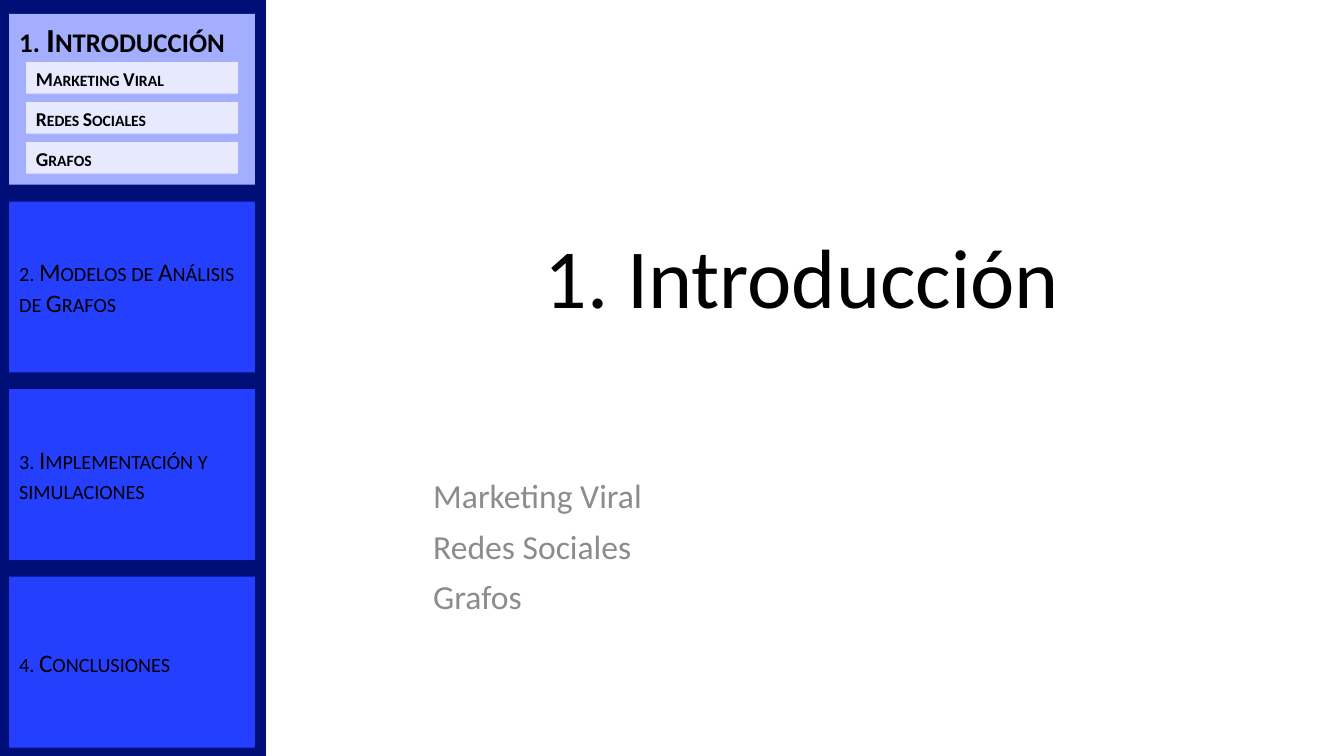
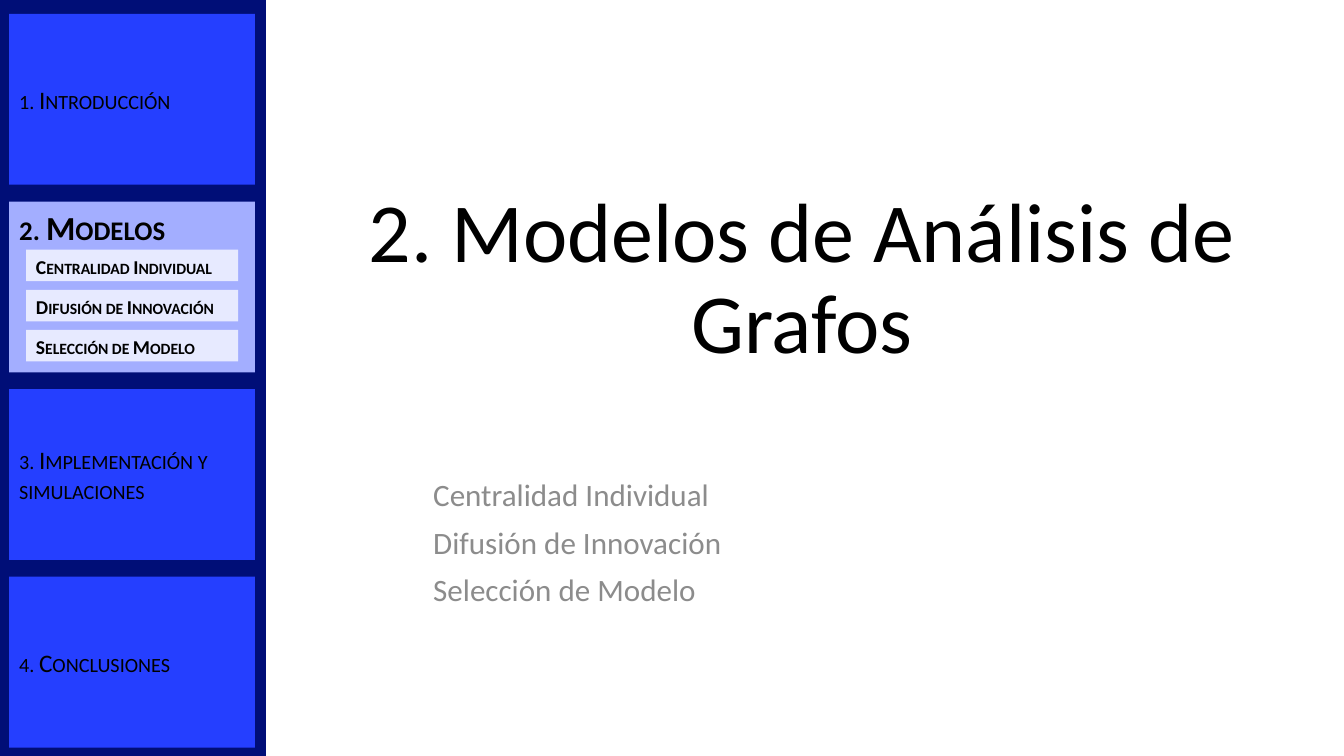
import pptx
import pptx.util
import pptx.dml.color
import pptx.enum.shapes
import pptx.enum.text

Pt = pptx.util.Pt
ALIGN = pptx.enum.text.PP_ALIGN
ANCHOR = pptx.enum.text.MSO_ANCHOR

FONT = "Calibri"
COLORS = {
    "sidebar": "000E77",
    "panel": "253FFF",
    "active": "A3AEFF",
    "topic": "E7EAFF",
    "text": "000000",
    "muted": "8C8C8C",
}

SECTIONS = [
    "Introducción",
    "Modelos de Análisis de Grafos",
    "Implementación y simulaciones",
    "Conclusiones",
]

SLIDES = [
    {"section": 0, "label": "Introducción", "body_size": 24,
     "topics": ["Marketing Viral", "Redes Sociales", "Grafos"]},
    {"section": 1, "label": "Modelos", "body_size": 22.2,
     "topics": ["Centralidad Individual", "Difusión de Innovación", "Selección de Modelo"]},
]

SLIDE_W, SLIDE_H = 960, 540
SIDEBAR = (-0.5, 0, 190.5, SLIDE_H)
TITLE = (252, 40.5, 641.5, 320.5)
BODY = (302.4, 339.1, 223.2, 118)
PANEL_X, PANEL_Y, PANEL_W, PANEL_H, PANEL_STEP = 6.6, 10, 175.5, 122, 134
TOPIC_X, TOPIC_DY, TOPIC_W, TOPIC_H, TOPIC_STEP = 18.6, 34.4, 151.5, 22.5, 28.6


def color(name):
    return pptx.dml.color.RGBColor.from_string(COLORS[name])


def write(sp, lines, *, size, fill="text", bold=False, small_caps=False,
          align=ALIGN.LEFT, anchor=ANCHOR.TOP, line_spacing=None, before=None):
    """Fill a shape with one paragraph per line."""
    tf = sp.text_frame
    tf.word_wrap = True
    tf.vertical_anchor = anchor
    for i, line in enumerate(lines):
        p = tf.add_paragraph() if i else tf.paragraphs[0]
        p.alignment = align
        p.line_spacing = line_spacing
        p.space_before = None if before is None else Pt(before)
        r = p.add_run()
        r.text = line
        r.font.name = FONT
        r.font.size = Pt(size)
        r.font.bold = bold
        r.font.color.rgb = color(fill)
        if small_caps:
            r.font._element.set("cap", "small")


def add_rect(slide, box, fill):
    sp = slide.shapes.add_shape(
        pptx.enum.shapes.MSO_SHAPE.RECTANGLE, *map(Pt, box))
    sp.shadow.inherit = False
    sp.fill.solid()
    sp.fill.fore_color.rgb = color(fill)
    sp.line.fill.background()
    return sp


def add_text(slide, box, lines, **style):
    write(slide.shapes.add_textbox(*map(Pt, box)), lines, **style)


def add_navigation(slide, active, label, topics):
    """Draw the sidebar, with the active section opened to show its topics."""
    add_rect(slide, SIDEBAR, "sidebar")
    for i, section in enumerate(SECTIONS):
        y = PANEL_Y + i * PANEL_STEP
        box = (PANEL_X, y, PANEL_W, PANEL_H)
        if i != active:
            write(add_rect(slide, box, "panel"), [f"{i + 1}. {section}"],
                  size=18, small_caps=True, anchor=ANCHOR.MIDDLE)
            continue
        write(add_rect(slide, box, "active"), [f"{i + 1}. {label}"],
              size=24, bold=True, small_caps=True)
        for j, topic in enumerate(topics):
            topic_box = (TOPIC_X, y + TOPIC_DY + j * TOPIC_STEP, TOPIC_W, TOPIC_H)
            write(add_rect(slide, topic_box, "topic"), [topic],
                  size=14, bold=True, small_caps=True)


def add_section_slide(prs, section, label, topics, body_size):
    slide = prs.slides.add_slide(prs.slide_layouts[6])
    add_navigation(slide, section, label, topics)
    add_text(slide, TITLE, [f"{section + 1}. {SECTIONS[section]}"], size=60,
             align=ALIGN.CENTER, anchor=ANCHOR.MIDDLE, line_spacing=0.9)
    add_text(slide, BODY, topics, size=body_size, fill="muted",
             line_spacing=0.9, before=10)


def main():
    prs = pptx.Presentation()
    prs.slide_width, prs.slide_height = Pt(SLIDE_W), Pt(SLIDE_H)
    for content in SLIDES:
        add_section_slide(prs, **content)
    prs.save("out.pptx")


if __name__ == "__main__":
    main()
